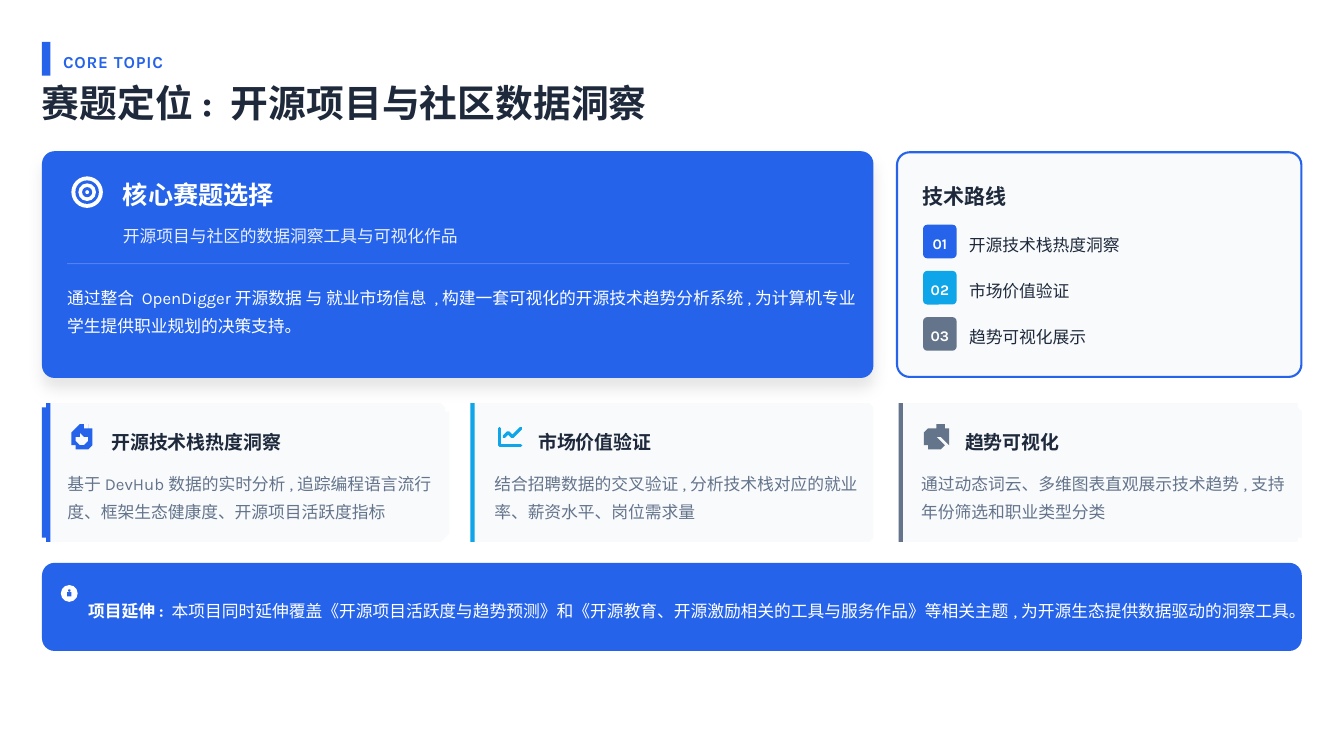
from math import cos, radians, sin

from lxml.etree import SubElement
from pptx import Presentation
from pptx.dml.color import RGBColor
from pptx.enum.shapes import MSO_SHAPE
from pptx.enum.text import MSO_ANCHOR, PP_ALIGN
from pptx.oxml.ns import qn
from pptx.util import Inches, Pt

BLUE = RGBColor(0x25, 0x63, 0xEB)
SKY = RGBColor(0x0E, 0xA5, 0xE9)
SLATE = RGBColor(0x64, 0x74, 0x8B)
INK = RGBColor(0x1E, 0x29, 0x3B)
PANEL = RGBColor(0xF8, 0xFA, 0xFC)
WHITE = RGBColor(0xFF, 0xFF, 0xFF)
PALE = RGBColor(0xE9, 0xEF, 0xFD)
DIVIDER = RGBColor(0x51, 0x82, 0xEF)

# All lengths are cells of a grid of 320 columns and 180 rows.
CELL = Pt(4)
LEFT = 10
CORNER = 3

presentation = Presentation()
presentation.slide_width, presentation.slide_height = Inches(17.78), Inches(10)
slide = presentation.slides.add_slide(presentation.slide_layouts[6])


def draw(fill=None, box=None, kind=MSO_SHAPE.RECTANGLE, outlines=None,
         corner=None, line=None, line_width=2):
    """Draw a preset in a box, or closed outlines; without a fill, an open stroke."""
    if outlines:
        builder = slide.shapes.build_freeform(*outlines[0][0], scale=CELL)
        for number, outline in enumerate(outlines):
            if number:
                builder.move_to(*outline[0])
            builder.add_line_segments(outline[1:], close=fill is not None)
        shape = builder.convert_to_shape()
    else:
        shape = slide.shapes.add_shape(kind, *(int(length * CELL) for length in box))
    if corner:
        shape.adjustments[0] = corner / min(box[2:])
    shape.shadow.inherit = False
    if fill is None:
        shape.fill.background()
    else:
        shape.fill.solid()
        shape.fill.fore_color.rgb = fill
    if line is None:
        shape.line.fill.background()
    else:
        shape.line.color.rgb = line
        shape.line.width = Pt(line_width)
    return shape


def add_text(text, box, size=16, color=INK, bold=False, spacing=1.3,
             align=PP_ALIGN.LEFT, wrap=False, lead="", tracking=None):
    """Add a text box; lead is a bold opening before the text."""
    frame = slide.shapes.add_textbox(*(int(length * CELL) for length in box)).text_frame
    frame.margin_left = frame.margin_right = frame.margin_top = frame.margin_bottom = 0
    frame.vertical_anchor = MSO_ANCHOR.MIDDLE
    frame.word_wrap = wrap
    paragraph = frame.paragraphs[0]
    paragraph.alignment = align
    paragraph.line_spacing = spacing
    for content, weight in ((lead, True), (text, bold)):
        if content:
            run = paragraph.add_run()
            run.text = content
            run.font.name = "Karla"
            run.font.size = Pt(size)
            run.font.bold = weight
            run.font.color.rgb = color
            if tracking:
                run.font._element.set("spc", str(tracking))


# Header
draw(BLUE, (LEFT, 10, 2, 8))
add_text("CORE TOPIC", (15, 11, 28, 6), color=BLUE, bold=True, tracking=80)
add_text("赛题定位: 开源项目与社区数据洞察", (LEFT, 20, 304.5, 10), size=36,
         bold=True, spacing=0.9)

# Core topic
hero = draw(BLUE, (LEFT, 36, 198, 54), MSO_SHAPE.ROUNDED_RECTANGLE, corner=CORNER)
effects = hero.element.spPr.find(qn("a:effectLst"))
shadow = SubElement(effects, qn("a:outerShdw"), blurRad=str(Pt(15)),
                    dist=str(Pt(10)), dir="5400000", algn="ctr", rotWithShape="0")
shadow_color = SubElement(shadow, qn("a:srgbClr"), val="000000")
SubElement(shadow_color, qn("a:alpha"), val="10000")

for radius, color in ((3.75, WHITE), (2.8, BLUE), (2.1, WHITE), (1.2, BLUE), (0.45, WHITE)):
    draw(color, (20.75 - radius, 45.75 - radius, 2 * radius, 2 * radius), MSO_SHAPE.OVAL)
add_text("核心赛题选择", (29.25, 42, 83, 8), size=24, color=WHITE, bold=True, spacing=1.1)
add_text("开源项目与社区的数据洞察工具与可视化作品", (29.25, 52, 82, 6.5),
         color=PALE, spacing=1.4)
draw(DIVIDER, (16, 62.65, 186.25, 0.25))
add_text("通过整合 OpenDigger开源数据 与 就业市场信息 ,构建一套可视化的开源技术趋势分析系统,"
         "为计算机专业学生提供职业规划的决策支持。",
         (16, 66.75, 188.25, 13), color=WHITE, spacing=1.4, wrap=True)

# Technical route
draw(PANEL, (213.6, 36.25, 96.3, 53.5), MSO_SHAPE.ROUNDED_RECTANGLE,
     corner=CORNER, line=BLUE)
add_text("技术路线", (219.75, 42.5, 86, 7), size=20, bold=True, spacing=1.2)
steps = (("开源技术栈热度洞察", BLUE, 38), ("市场价值验证", SKY, 26),
         ("趋势可视化展示", SLATE, 30))
for number, (label, color, width) in enumerate(steps):
    top = 53.5 + 11 * number
    draw(color, (219.8, top, 8, 8), MSO_SHAPE.ROUNDED_RECTANGLE, corner=1)
    add_text(f"{number + 1:02d}", (218.9, top, 9.8, 8), size=14, color=WHITE,
             bold=True, spacing=1.2, align=PP_ALIGN.CENTER)
    add_text(label, (230.75, top + 1, width, 6))

# Three cards
cards = (
    ("开源技术栈热度洞察", BLUE, 43,
     "基于DevHub数据的实时分析,追踪编程语言流行度、框架生态健康度、开源项目活跃度指标"),
    ("市场价值验证", SKY, 29,
     "结合招聘数据的交叉验证,分析技术栈对应的就业率、薪资水平、岗位需求量"),
    ("趋势可视化", SLATE, 25,
     "通过动态词云、多维图表直观展示技术趋势,支持年份筛选和职业类型分类"),
)
CARD_TOP, CARD_HEIGHT = 96, 33
for number, (heading, accent, width, body) in enumerate(cards):
    left = 10.5 + 101.65 * number
    for block_width, right_corner, color in ((96.25, CORNER, PANEL), (1, 0, accent)):
        right, bottom = left + block_width, CARD_TOP + CARD_HEIGHT
        corners = (
            (left + 1, CARD_TOP + 1, 1, 180),
            (right - right_corner, CARD_TOP + right_corner, right_corner, 270),
            (right - right_corner, bottom - right_corner, right_corner, 0),
            (left + 1, bottom - 1, 1, 90),
        )
        draw(color, outlines=[[
            (x + radius * cos(radians(start + turn)), y + radius * sin(radians(start + turn)))
            for x, y, radius, start in corners for turn in range(0, 91, 15)]])
    add_text(heading, (left + 16, 101, width, 7), size=18, bold=True)
    add_text(body, (left + 5.55, 111, 87.85, 13), color=SLATE, spacing=1.4, wrap=True)

# Flame icon
flame = [(19, 100.6), (19.4, 100.6), (19.8, 101.1), (20.3, 101.9), (20.6, 101.6),
         (20.9, 101.3), (21.2, 101.6), (21.8, 102.4), (22.2, 103.4)]
flame += [(19.75 + 2.6 * cos(radians(angle)), 104.4 + 2.6 * sin(radians(angle)))
          for angle in range(0, 181, 15)]
flame += [(17.4, 103.2), (18, 101.8), (18.6, 101)]
ember = [(19.1, 103.3), (19.3, 103.4), (20, 104.4), (20.3, 104.4), (20.7, 104),
         (20.9, 104.1), (21.1, 104.7), (20.9, 105.3), (20.5, 105.7), (19.8, 105.9),
         (19, 105.7), (18.5, 105.2), (18.4, 104.5), (18.7, 103.8)]
draw(BLUE, outlines=[flame, ember])

# Line chart icon
axes = [(118.8, 101.7), (118.8, 106.2), (123.7, 106.2)]
trend = [(120.2, 104.1), (121.2, 103.2), (122.1, 103.9), (123.7, 102.5)]
for stroke in (axes, trend):
    shape = draw(outlines=[stroke], line=SKY, line_width=3)
    shape.element.spPr.find(qn("a:ln")).set("cap", "rnd")

# Pie icon
sectors = ((222.8, 104.2, 2.7, 50, 270), (223.2, 103.9, 2.9, 270, 360),
           (224.1, 104.4, 2.4, 0, 50))
draw(SLATE, outlines=[
    [(x, y)] + [(x + radius * cos(radians(angle)), y + radius * sin(radians(angle)))
                for angle in range(start, end + 1, 10)]
    for x, y, radius, start, end in sectors])

# Project extension
draw(BLUE, (LEFT, 134, 300, 21), MSO_SHAPE.ROUNDED_RECTANGLE, corner=CORNER)
draw(WHITE, (14.5, 139.3, 4, 4), MSO_SHAPE.OVAL)
draw(BLUE, (16.2, 140.3, 0.6, 0.6), MSO_SHAPE.OVAL)
draw(BLUE, outlines=[[(16, 141.1), (16.8, 141.1), (16.8, 142), (17, 142), (17, 142.4),
                      (16, 142.4), (16, 142), (16.3, 142), (16.3, 141.5), (16, 141.5)]])
add_text(" 本项目同时延伸覆盖《开源项目活跃度与趋势预测》和《开源教育、开源激励相关的工具与服务作品》"
         "等相关主题,为开源生态提供数据驱动的洞察工具。",
         (21, 138, 287, 13), color=WHITE, spacing=1.4, wrap=True, lead="项目延伸:")

presentation.save("out.pptx")
